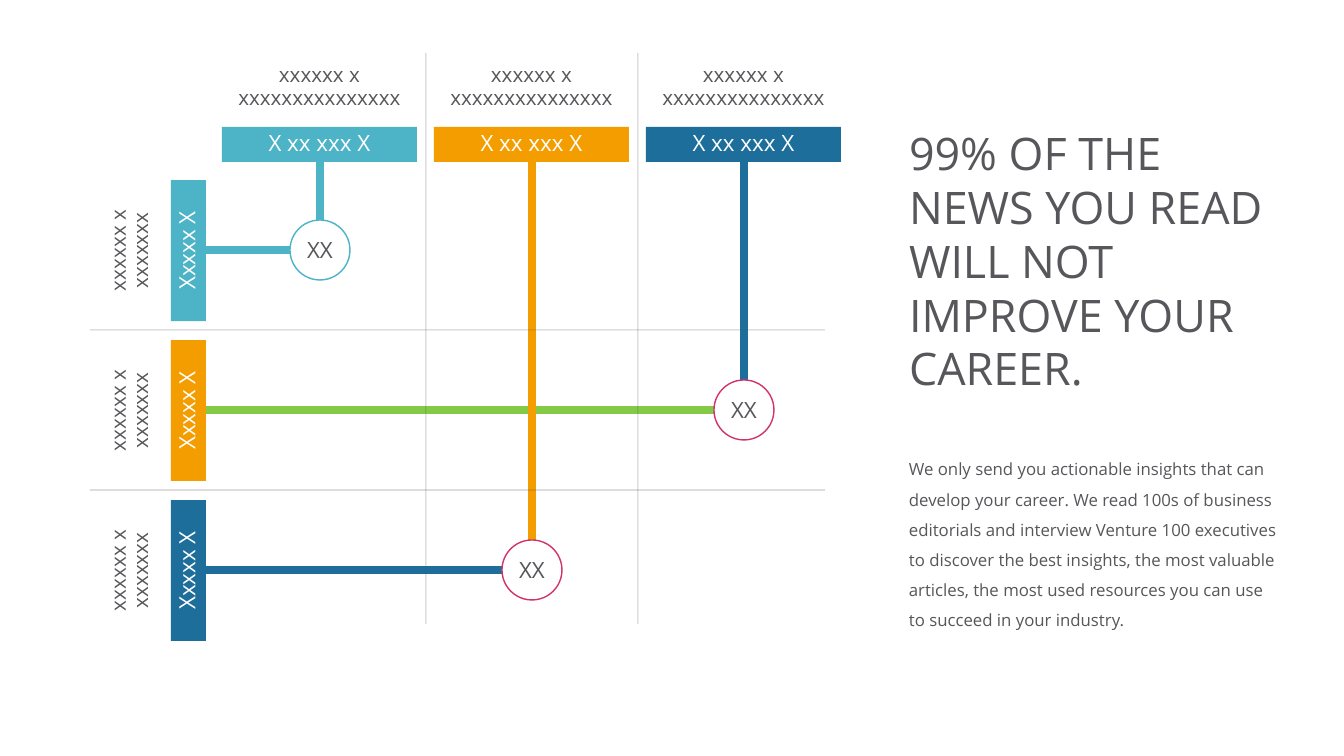
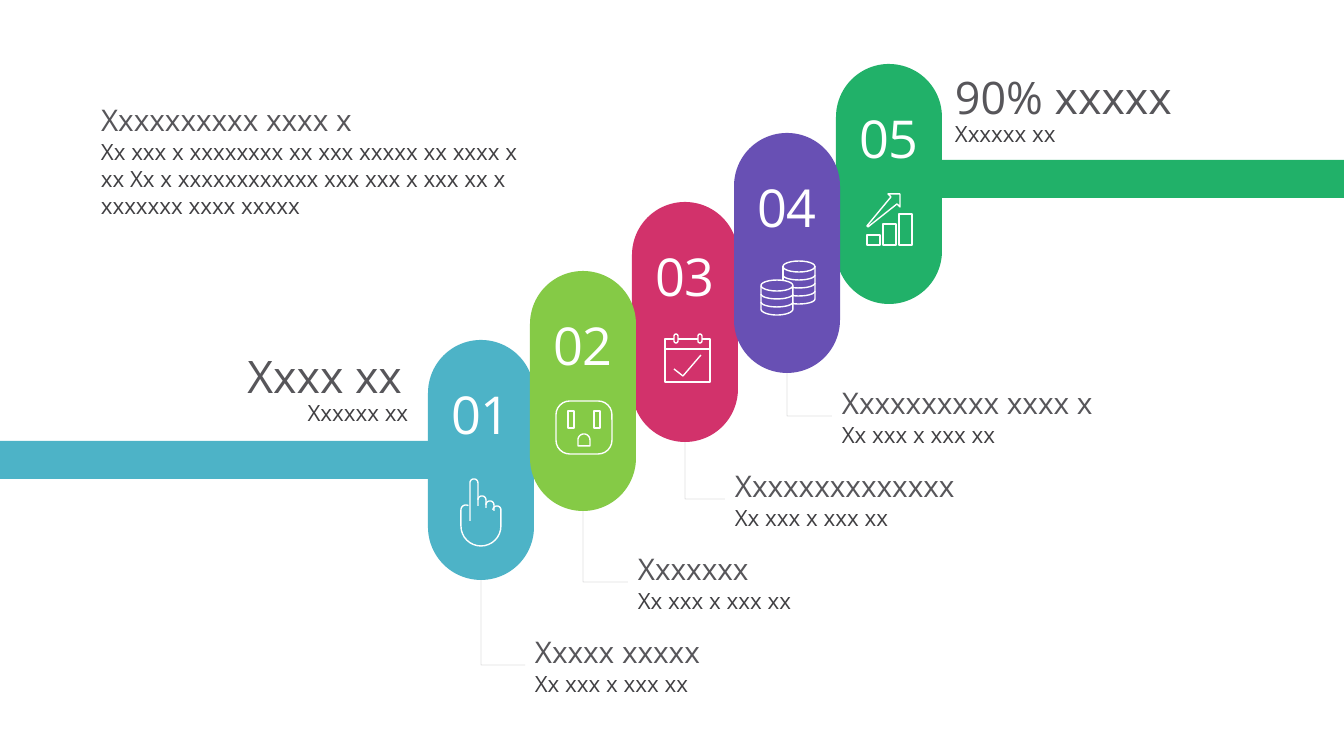
from math import cos, radians, sin

from lxml import etree
from pptx import Presentation
from pptx.dml.color import RGBColor
from pptx.enum.shapes import MSO_CONNECTOR, MSO_SHAPE
from pptx.enum.text import MSO_ANCHOR, MSO_AUTO_SIZE, PP_ALIGN
from pptx.oxml.ns import qn
from pptx.util import Pt

RECT, ROUND, OVAL = MSO_SHAPE.RECTANGLE, MSO_SHAPE.ROUNDED_RECTANGLE, MSO_SHAPE.OVAL
LINE, ELBOW = MSO_CONNECTOR.STRAIGHT, MSO_CONNECTOR.ELBOW
LEFT, MID, RIGHT = PP_ALIGN.LEFT, PP_ALIGN.CENTER, PP_ALIGN.RIGHT

# Shared look
PX = 12192000 / 1344
FONT = "Open Sans"
HEX = {
    "teal": "4DB3C7", "orange": "F49D00", "blue": "1D6E9B", "lime": "85CA46",
    "pink": "D2326B", "violet": "6850B4", "green": "21B169",
    "gray": "57565A", "dark": "414043", "white": "FFFFFF", "icon": "FEFEFE",
}
RGB = {name: RGBColor.from_string(code) for name, code in HEX.items()}
FRAME = {"word_wrap": True, "auto_size": MSO_AUTO_SIZE.NONE, "vertical_anchor": MSO_ANCHOR.TOP}


def box(slide, kind, area, fill=None, edge=None, adj=None, turn=0,
        text=(), align=LEFT, space=None, frame={}):
    """Add a shape, text box (kind None) or title; text holds (words, size, colour)."""
    area = [round(v * PX) for v in area]
    if kind == "title":
        item = slide.shapes.title
        item.left, item.top, item.width, item.height = area
    elif kind is None:
        item = slide.shapes.add_textbox(*area)
    else:
        item = slide.shapes.add_shape(kind, *area)
        item.shadow.inherit = False
        if fill:
            item.fill.solid()
            item.fill.fore_color.rgb = RGB[fill]
        else:
            item.fill.background()
        if edge:
            item.line.color.rgb = RGB[edge]
            item.line.width = Pt(1)
        else:
            item.line.fill.background()
        if adj is not None:
            item.adjustments[0] = adj
    item.rotation = turn
    body = item.text_frame
    for key, val in {**FRAME, **frame}.items():
        setattr(body, key, val)
    for i, (words, size, color) in enumerate(text):
        para = body.add_paragraph() if i else body.paragraphs[0]
        para.alignment = align
        if space:
            para.line_spacing = space
        run = para.add_run()
        run.text = words
        for key, val in {"name": FONT, "size": Pt(size)}.items():
            setattr(run.font, key, val)
        run.font.color.rgb = RGB[color]


def link(slide, kind, ends, color, width, alpha=None):
    """Add a connector between two points."""
    wire = slide.shapes.add_connector(kind, *[round(v * PX) for v in ends])
    wire.line.color.rgb = RGB[color]
    wire.line.width = Pt(width)
    props = wire._element.spPr
    if alpha:
        tint = next(props.iter(qn("a:srgbClr")))
        etree.SubElement(tint, qn("a:alpha")).set("val", str(alpha * 1000))
    etree.SubElement(props, qn("a:effectLst"))
    return wire


deck = Presentation()
deck.slide_width, deck.slide_height = round(1344 * PX), round(756 * PX)
plain = deck.slide_layouts[5]

# Slide 1: matrix of rows and columns
grid = deck.slides.add_slide(plain)
box(grid, "title", (899, 121, 381, 280), space=1.0,
    text=[("99% OF THE NEWS YOU READ WILL NOT IMPROVE YOUR CAREER.", 32, "gray")])
box(grid, None, (899, 444, 390, 222), space=Pt(21.6), text=[(
    "We only send you actionable insights that can develop your career. "
    "We read 100s of business editorials and interview Venture 100 executives "
    "to discover the best insights, the most valuable articles, the most used "
    "resources you can use to succeed in your industry.", 12, "gray")])

cols = [320 + 212 * i for i in range(3)]
rows = [250 + 160 * i for i in range(3)]
hues = ["teal", "orange", "blue"]

# Links and nodes: column, row, link colours down and across, ring colour
for c, r, down, across, ring in [
    (0, 0, "teal", "teal", "teal"),
    (2, 1, "blue", "lime", "pink"),
    (1, 2, "orange", "blue", "pink"),
]:
    x, y = cols[c], rows[r]
    link(grid, LINE, (206, y, x - 30, y), across, 6)
    link(grid, LINE, (x, 161, x, y - 30), down, 6)
    box(grid, OVAL, (x - 30, y - 30, 60, 60), "white", ring, align=MID,
        text=[("XX", 16, "gray")],
        frame={"word_wrap": False, "vertical_anchor": MSO_ANCHOR.MIDDLE})

# Headers of columns and rows
for x, y, hue in zip(cols, rows, hues):
    box(grid, None, (x - 98, 60, 195, 55), align=MID, space=0.9,
        text=[("xxxxxx x xxxxxxxxxxxxxxx", 14.7, "gray")])
    box(grid, RECT, (x - 98, 127, 195, 35), hue, align=MID, space=0.9,
        text=[("X xx xxx X", 16, "white")])
    box(grid, None, (60, y - 27, 141, 55), turn=270, align=MID, space=0.9,
        text=[("xxxxxx x xxxxxxx", 14.7, "gray")])
    box(grid, RECT, (118, y - 17, 141, 35), hue, turn=270, align=MID, space=0.9,
        text=[("Xxxxx X", 16, "white")])

# Dividers halfway between rows and columns
for x, y in zip(cols[:2], rows[:2]):
    link(grid, LINE, (90, y + 80, 825, y + 80), "gray", 0.75, 30)
    link(grid, LINE, (x + 106, 53, x + 106, 624), "gray", 0.75, 30)

# Slide 2: rising steps
steps = deck.slides.add_slide(plain)
box(steps, "title", (91, 97, 440, 41), space=1.0,
    text=[("Xxxxxxxxxx xxxx x", 21.3, "gray")])
box(steps, None, (91, 133, 440, 92), text=[(
    "Xx xxx x xxxxxxxx xx xxx xxxxx xx xxxx x xx Xx x xxxxxxxxxxxx "
    "xxx xxx x xxx xx x xxxxxxx xxxx xxxxx", 16, "dark")])

# Start and end bands
box(steps, RECT, (0, 441, 429, 38), "teal")
box(steps, RECT, (938, 160, 406, 38), "green")
box(steps, None, (945, 72, 390, 81), space=0.87,
    text=[("90% xxxxx", 32, "gray"), ("Xxxxxx xx", 16, "dark")])
box(steps, None, (0, 351, 424, 81), align=RIGHT, space=0.87,
    text=[("Xxxx xx ", 32, "gray"), ("Xxxxxx xx ", 16, "dark")])

# Pills, odd ones behind their neighbours
tones = ["teal", "lime", "pink", "violet", "green"]
for i in (0, 2, 4, 3, 1):
    box(steps, ROUND, (428 + 102 * i, 340 - 69 * i, 106, 240), tones[i], adj=0.5,
        align=MID, text=[(f"0{i + 1}", 37.3, "white")],
        frame={"margin_left": 0, "margin_right": 0,
               "margin_top": round(27 * PX), "margin_bottom": round(27 * PX)})

# Callouts with elbow lines going down, then right
for i, (x, head) in enumerate([
    (525, "Xxxxx xxxxx"), (628, "Xxxxxxx"),
    (725, "Xxxxxxxxxxxxxx"), (832, "Xxxxxxxxxx xxxx x"),
]):
    top = 629 - 83 * i
    box(steps, None, (x, top, 280, 74),
        text=[(head, 21.3, "gray"), ("Xx xxx x xxx xx", 16, "dark")])
    x1, y1, y2 = 481 + 102 * i, 580 - 69 * i, top + 36
    mx, my, dx, dy = (x1 + x) / 2, (y1 + y2) / 2, (x - x1) / 2, (y2 - y1) / 2
    bend = link(steps, ELBOW, (mx + dy, my - dx, mx - dy, my + dx), "gray", 0.25, 50)
    props = bend._element.spPr
    props.find(qn("a:xfrm")).set("rot", "16200000")
    props.find(qn("a:prstGeom")).set("prst", "bentConnector2")

# Icon parts from preset shapes: socket, calendar rings, coin tops, bars
parts = [(ROUND, (556, 401, 56, 53), 0.26)]
parts += [(RECT, (x, 411, 6, 17), None) for x in (568, 594)]
parts += [(ROUND, (x, 334, 4, 9), 0.5) for x in (674, 698)]
parts += [(OVAL, area, None) for area in ((761, 280, 32, 11), (783, 261, 32, 11))]
parts += [(RECT, (867 + 16 * i, 245 - h, 13, h), None) for i, h in enumerate((10, 21, 31))]
for kind, area, adj in parts:
    box(steps, kind, area, edge="icon", adj=adj)

# Straight icon lines: calendar top and header, coin side
for ends in ((678, 339, 698, 339), (665, 349, 710, 349), (783, 281, 783, 266)):
    link(steps, LINE, ends, "icon", 1)

# Icon strokes: (x, y) is a point, (cx, cy, rx, ry, from, to) an arc
strokes = [
    # Hand
    [(470, 521), (474, 483, 4, 4, 180, 360), (478, 506)],
    [(482, 500, 4, 4, 180, 360), (486, 508)],
    [(490, 505, 4, 4, 180, 360), (494, 511)],
    [(497, 510, 4, 4, 180, 360), (481, 526, 20, 20, 0, 180), (466, 510, 5, 5, 180, 300)],
    # Socket ground hole
    [(584, 440, 6, 6, 180, 360), (590, 446), (578, 446), (578, 440)],
    # Calendar frame and tick
    [(702, 339), (710, 339), (710, 382), (665, 382), (665, 339), (674, 339)],
    [(674, 369), (683, 376), (701, 355)],
    # Coin stacks
    [(793, 286), (777, 309, 16, 6, 0, 180), (761, 286)],
    [(815, 266), (799, 299, 16, 5, 0, 115)],
    [(799, 275, 16, 5, 0, 180)],
    # Growth arrow
    [(900, 194), (888, 194), (891, 197), (867, 226), (868, 227), (897, 204),
     (900, 207), (900, 194)],
]
strokes += [[(777, y, 16, 5, 0, 180)] for y in (294, 302)]
strokes += [[(799, y, 16, 5, 0, 115)] for y in (283, 291)]
for stroke in strokes:
    dots = []
    for mark in stroke:
        if len(mark) == 2:
            dots.append(mark)
            continue
        cx, cy, rx, ry, a, b = mark
        turns = [radians(a + (b - a) * k / 16) for k in range(17)]
        dots += [(cx + rx * cos(t), cy + ry * sin(t)) for t in turns]
    dots = [(round(x * PX), round(y * PX)) for x, y in dots]
    pen = steps.shapes.build_freeform(*dots[0])
    pen.add_line_segments(dots[1:], close=dots[0] == dots[-1])
    icon = pen.convert_to_shape()
    icon.shadow.inherit = False
    icon.fill.background()
    icon.line.color.rgb = RGB["icon"]
    icon.line.width = Pt(1)

deck.save("out.pptx")
